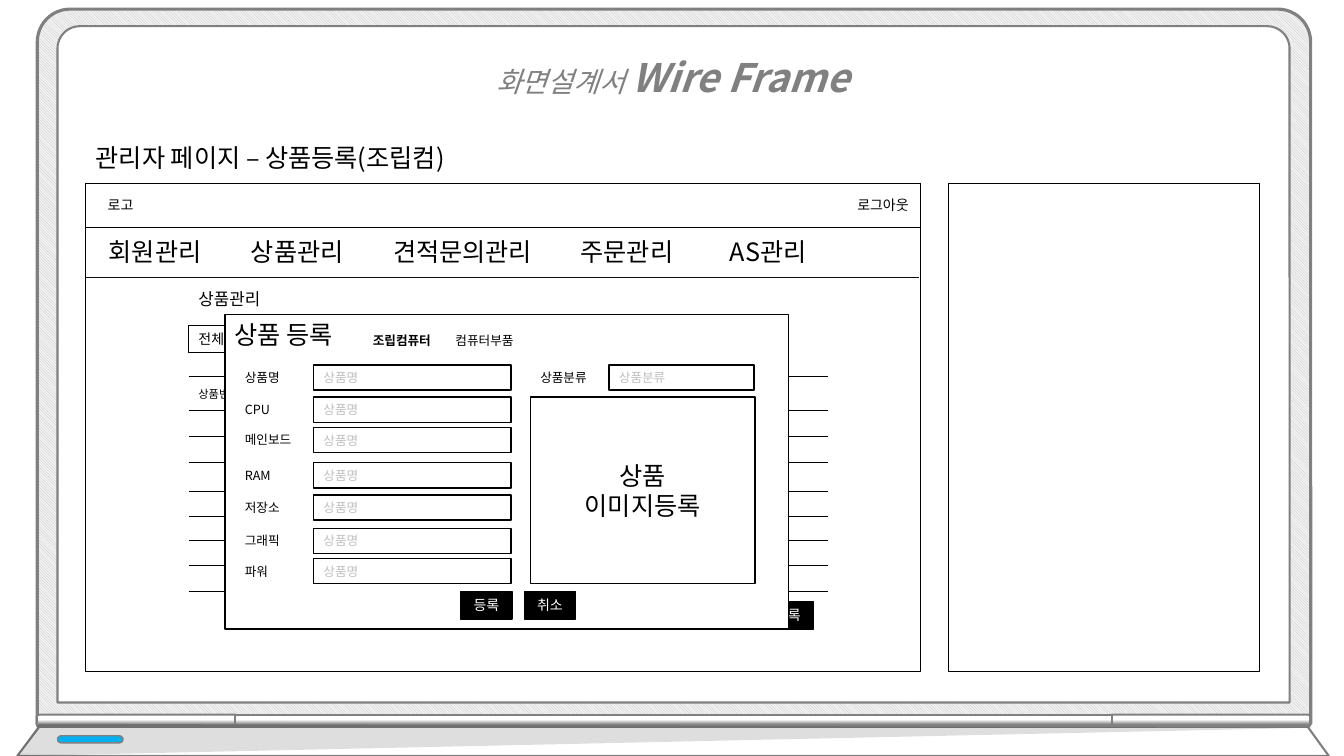
"""Builds the wireframe slide for the product registration page, framed by a laptop."""
from lxml import etree
from pptx import Presentation
from pptx.dml.color import RGBColor
from pptx.enum.dml import MSO_PATTERN
from pptx.enum.shapes import MSO_CONNECTOR, MSO_SHAPE
from pptx.enum.text import MSO_ANCHOR, MSO_AUTO_SIZE, PP_ALIGN
from pptx.oxml.ns import qn
from pptx.util import Inches, Pt

RECT, PILL, TAB = MSO_SHAPE.RECTANGLE, MSO_SHAPE.ROUNDED_RECTANGLE, MSO_SHAPE.ROUND_2_SAME_RECTANGLE
LEFT, CENTER, RIGHT = PP_ALIGN.LEFT, PP_ALIGN.CENTER, PP_ALIGN.RIGHT
TOP, MIDDLE = MSO_ANCHOR.TOP, MSO_ANCHOR.MIDDLE
FIT, NO_FIT = MSO_AUTO_SIZE.SHAPE_TO_FIT_TEXT, MSO_AUTO_SIZE.NONE
DIAGONAL, STRAIGHT = MSO_PATTERN.LIGHT_DOWNWARD_DIAGONAL, MSO_CONNECTOR.STRAIGHT
FONT = "Noto Sans CJK KR"
C = {"black": "000000", "white": "FFFFFF", "frame": "808080", "hatch": "BFBFBF",
     "case": "F2F2F2", "hint": "BFBFBF", "rule": "0D0D0D", "lamp": "00B0F0"}

TITLE = [("화면설계서 ", {"size": Pt(20), "italic": True}),
         ("Wire Frame", {"size": Pt(28), "italic": True, "bold": True})]
MENU = ["회원관리", "상품관리", "견적문의관리", "주문관리", "AS관리"]
MENU_TABS = [1.41, 2.82, 4.68, 6.16]
LIST_RULES = [3.73, 4.07, 4.33, 4.59, 4.87, 5.12, 5.36, 5.61, 5.87]
FIELDS = [("상품명", 3.62), ("CPU", 3.94), ("메인보드", 4.24), ("RAM", 4.59),
          ("저장소", 4.91), ("그래픽", 5.24), ("파워", 5.54)]
LABELS = [
    ("로그아웃", (6.01, 1.9, 3.1, 0.27), 10, RIGHT),
    ("로고", (0.97, 1.9, 2.41, 0.27), 10, LEFT),
    ("상품번호", (1.87, 3.79, 0.7, 0.24), 8, LEFT),
    ("상품관리", (1.87, 2.82, 1.22, 0.3), 12, LEFT),
    ("관리자 페이지 – 상품등록(조립컴)", (0.85, 1.36, 4.19, 0.4), 18, LEFT),
]
DIALOG_TABS = [("조립컴퓨터", 3.52, True), ("컴퓨터부품", 4.34, False)]
DIALOG_BUTTONS = [("등록", 4.57), ("취소", 5.2)]
BUTTON_W, BUTTON_H, FIELD_H = 0.51, 0.27, 0.25
PAGE_X, PAGE_Y, PAGE_W, PAGE_H = 0.85, 1.82, 8.28, 4.84
LIST_X, LIST_END = 1.87, 8.21
HINGES = [(1.35, 1.97, 270, 0.193), (12.01, 1.97, 90, 0.193), (6.68, 8.7, 270, 0)]
HINGE_Y, HINGE_H = 7.15, 0.12
BASE = [(0.39, 7.21), (12.97, 7.21), (13.18, 7.5), (0.17, 7.5)]
SHADE = [(0.39, 7.18), (0.17, 7.5), (13.02, 7.22)]


def rgb(name):
    return RGBColor.from_string(C[name])


def paint(sp, fill="white", line="black", width=1):
    sp.shadow.inherit = False
    if fill:
        sp.fill.solid()
        sp.fill.fore_color.rgb = rgb(fill)
    if line:
        sp.line.color.rgb = rgb(line)
        sp.line.width = Pt(width)
    else:
        sp.line.fill.background()
    return sp


def shape(parent, kind, box, adj=(), **look):
    sp = parent.add_shape(kind, *map(Inches, box))
    for i, value in enumerate(adj):
        sp.adjustments[i] = value
    return paint(sp, **look)


def polygon(parent, points, **look):
    pts = [(Inches(x), Inches(y)) for x, y in points]
    builder = parent.build_freeform(*pts[0])
    builder.add_line_segments(pts[1:], close=True)
    return paint(builder.convert_to_shape(), **look)


def add_run(p, text, color, formats):
    r = p.add_run()
    r.text = text
    r.font.color.rgb = rgb(color)
    for key, value in {"name": FONT, **formats}.items():
        setattr(r.font, key, value)
    etree.SubElement(r.font.element if hasattr(r.font, "element") else r._r.get_or_add_rPr(),
                     qn("a:ea"), typeface=FONT)


def write(sp, text, size, color="black", align=LEFT, anchor=TOP, fit=NO_FIT, bold=False, tabs=()):
    tf = sp.text_frame
    for key, value in {"word_wrap": True, "auto_size": fit, "vertical_anchor": anchor}.items():
        setattr(tf, key, value)
    for i, line in enumerate(text.split("\n")):
        p = tf.add_paragraph() if i else tf.paragraphs[0]
        p.alignment = align
        if tabs:
            stops = etree.SubElement(p._p.get_or_add_pPr(), qn("a:tabLst"))
            for pos in tabs:
                etree.SubElement(stops, qn("a:tab"), pos=str(Inches(pos)), algn="l")
        add_run(p, line, color, {"size": Pt(size), "bold": bold})


def label(s, text, box, size, align=LEFT, **formats):
    write(s.shapes.add_textbox(*map(Inches, box)), text, size, align=align, fit=FIT, **formats)


def field(s, hint, x, y, w):
    write(shape(s.shapes, RECT, (x, y, w, FIELD_H)), hint, 9, "hint", anchor=MIDDLE)


def button(s, text, x, y):
    sp = shape(s.shapes, RECT, (x, y, BUTTON_W, BUTTON_H), fill="black")
    write(sp, text, 10, "white", CENTER, MIDDLE)


def rule(s, x1, x2, y, color="black"):
    line = s.shapes.add_connector(STRAIGHT, *map(Inches, (x1, y, x2, y)))
    line.line.color.rgb = rgb(color)
    line.line.width = Pt(0.5)
    etree.SubElement(line.element.spPr, qn("a:effectLst"))


def draw_laptop(s):
    parts = s.shapes.add_group_shape().shapes
    case = shape(parts, TAB, (0.37, 0.09, 12.63, 7.09), (0.046, 0), fill=None, line="frame", width=2.25)
    case.fill.patterned()
    case.fill.pattern = DIAGONAL
    case.fill.fore_color.rgb = rgb("hatch")
    case.fill.back_color.rgb = rgb("case")
    shape(parts, TAB, (0.57, 0.26, 12.22, 6.71), (0.033, 0), line="frame", width=1.5)
    for mid, length, turn, corner in HINGES:
        box = (mid - HINGE_H / 2, HINGE_Y - length / 2, HINGE_H, length)
        hinge = shape(parts, TAB, box, (corner, 0), fill=None, line="frame", width=1.5)
        hinge.rotation = turn
        if turn == 90:
            hinge.element.spPr.find(qn("a:xfrm")).set("flipH", "1")
        hinge.fill.gradient()
        hinge.fill.gradient_angle = 0
        for stop, (pos, color) in zip(hinge.fill.gradient_stops, [(0.17, "frame"), (0.59, "white")]):
            stop.position = pos
            stop.color.rgb = rgb(color)
    polygon(parts, BASE, line="frame", width=1.5)
    shade = polygon(parts, SHADE, fill="black", line=None)
    tint = shade.element.spPr.find(qn("a:solidFill")).find(qn("a:srgbClr"))
    etree.SubElement(tint, qn("a:alpha"), val="13000")
    shape(parts, PILL, (0.57, 7.3, 0.65, 0.07), (0.5,), fill="lamp", line="frame")


def draw_page(s):
    shape(s.shapes, RECT, (9.41, PAGE_Y, 3.08, PAGE_H))
    for height in (PAGE_H, 0.44):
        shape(s.shapes, RECT, (PAGE_X, PAGE_Y, PAGE_W, height))
    rule(s, PAGE_X, 9.11, 2.75, "rule")
    label(s, "\t".join(MENU), (0.98, 2.3, 8, 0.4), 18, tabs=MENU_TABS)
    for text, box, size, align in LABELS:
        label(s, text, box, size, align)
    for y in LIST_RULES:
        rule(s, LIST_X, LIST_END, y)
    write(shape(s.shapes, RECT, (LIST_X, 3.23, 1.22, 0.27)), "전체", 10, anchor=MIDDLE)
    button(s, "등록", 7.56, 5.97)


def draw_dialog(s):
    write(shape(s.shapes, RECT, (2.23, 3.12, 5.59, 3.12)), "상품 등록", 18)
    for text, x, bold in DIALOG_TABS:
        label(s, text, (x, 3.25, 0.93, FIELD_H), 9, CENTER, bold=bold)
    for text, y in FIELDS:
        field(s, "상품명", 3.11, y, 1.96)
        label(s, text, (2.33, y, 0.78, FIELD_H), 9)
    field(s, "상품분류", 6.04, FIELDS[0][1], 1.44)
    label(s, "상품분류", (5.26, FIELDS[0][1], 0.75, FIELD_H), 9)
    write(shape(s.shapes, RECT, (5.26, 3.94, 2.23, 1.85)), "상품\n이미지등록", 18,
          align=CENTER, anchor=MIDDLE)
    for text, x in DIALOG_BUTTONS:
        button(s, text, x, 5.87)


def place_title(s):
    title = s.shapes.title
    title.left, title.top, title.width, title.height = map(Inches, (3.67, 0.25, 6, 0.81))
    tf = title.text_frame
    for key, value in {"word_wrap": True, "auto_size": FIT, "vertical_anchor": TOP}.items():
        setattr(tf, key, value)
    p = tf.paragraphs[0]
    p.alignment, p.line_spacing = CENTER, 1.5
    for text, formats in TITLE:
        add_run(p, text, "frame", formats)
    title.element.getparent().append(title.element)


def main():
    prs = Presentation()
    prs.slide_width, prs.slide_height = Inches(13.33), Inches(7.5)
    s = prs.slides.add_slide(prs.slide_layouts[5])
    draw_laptop(s)
    draw_page(s)
    draw_dialog(s)
    place_title(s)
    prs.save("out.pptx")


if __name__ == "__main__":
    main()
